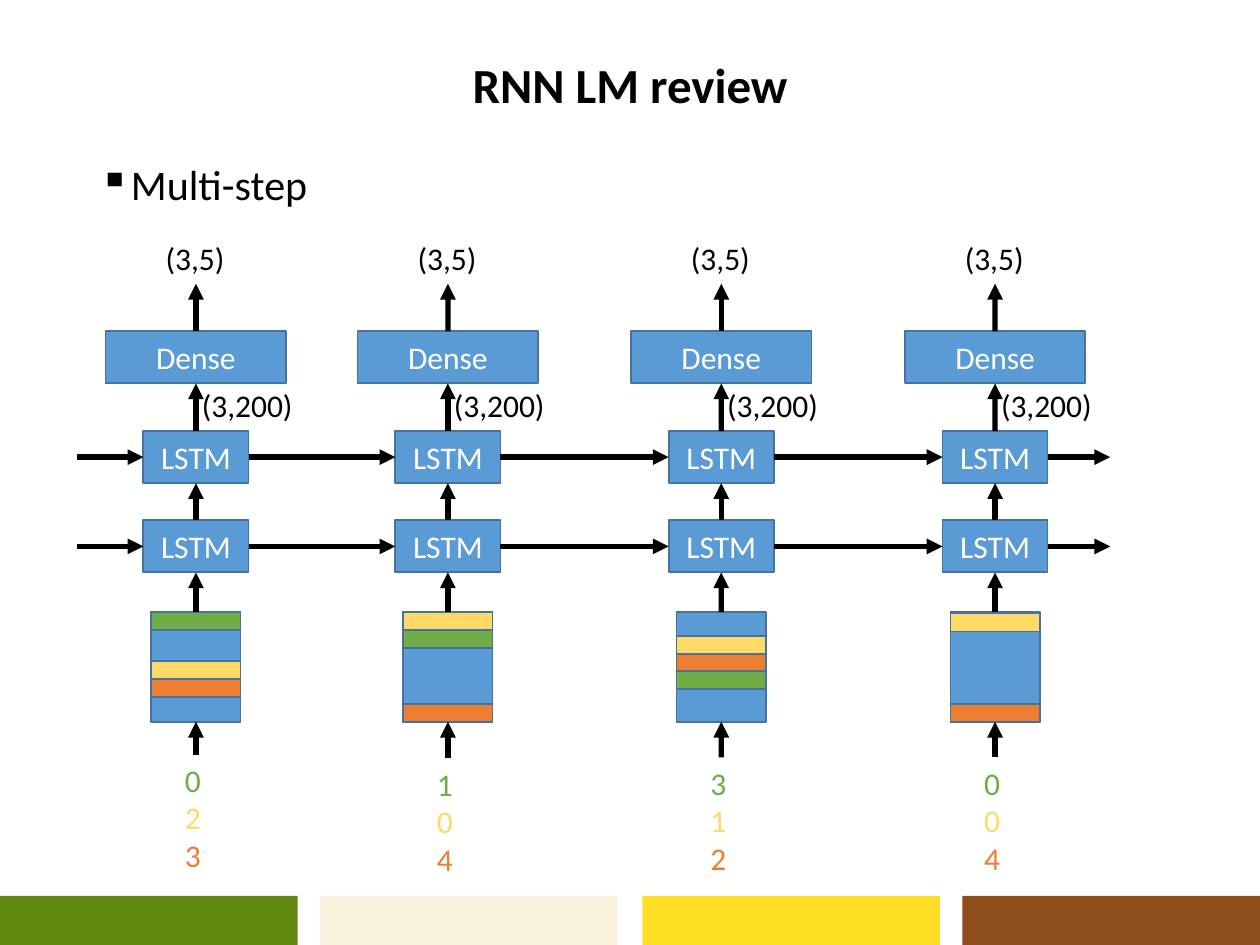
"""Build the RNN language model review slide with four unrolled LSTM steps."""
from dataclasses import dataclass

from lxml import etree
from pptx import Presentation
from pptx.dml.color import RGBColor
from pptx.enum.shapes import MSO_CONNECTOR, MSO_SHAPE
from pptx.enum.text import MSO_ANCHOR, PP_ALIGN
from pptx.oxml.ns import qn
from pptx.util import Cm, Pt

RECTANGLE = MSO_SHAPE.RECTANGLE
STRAIGHT = MSO_CONNECTOR.STRAIGHT
MIDDLE = MSO_ANCHOR.MIDDLE
CENTER = PP_ALIGN.CENTER
TOP, LEFT, BOTTOM, RIGHT = range(4)


@dataclass(frozen=True)
class Theme:
    font: str = "Calibri"
    title_size: Pt = Pt(28)
    body_size: Pt = Pt(24)
    label_size: Pt = Pt(18)
    black: RGBColor = RGBColor.from_string("000000")
    white: RGBColor = RGBColor.from_string("FFFFFF")
    blue: RGBColor = RGBColor.from_string("5B9BD5")
    outline: RGBColor = RGBColor.from_string("43739E")
    green: RGBColor = RGBColor.from_string("70AD47")
    yellow: RGBColor = RGBColor.from_string("FFD966")
    orange: RGBColor = RGBColor.from_string("ED7D31")
    footer: tuple = ("61890F", "FAF2DD", "FFDF24", "8E4F1C")


THEME = Theme()
TOKEN_COLORS = (THEME.green, THEME.yellow, THEME.orange)

presentation = Presentation()
presentation.slide_width = Cm(25.4)
presentation.slide_height = Cm(19.05)
slide = presentation.slides.add_slide(presentation.slide_layouts[6])


def add_box(shapes, left, top, width, height, fill, label=""):
    shape = shapes.add_shape(RECTANGLE, Cm(left), Cm(top), Cm(width), Cm(height))
    shape.shadow.inherit = False
    shape.fill.solid()
    shape.fill.fore_color.rgb = fill
    shape.line.color.rgb = THEME.outline
    shape.line.width = Pt(1)
    if label:
        shape.text_frame.text = label
        shape.text_frame.vertical_anchor = MIDDLE
        paragraph = shape.text_frame.paragraphs[0]
        paragraph.alignment = CENTER
        paragraph.font.name = THEME.font
        paragraph.font.size = THEME.label_size
        paragraph.font.color.rgb = THEME.white
    return shape


def add_text(left, top, width, height, text, size, colors=(THEME.black,), wrap=True):
    shape = slide.shapes.add_textbox(Cm(left), Cm(top), Cm(width), Cm(height))
    shape.text_frame.word_wrap = wrap
    shape.text_frame.text = text
    for paragraph, color in zip(shape.text_frame.paragraphs, colors):
        paragraph.font.name = THEME.font
        paragraph.font.size = size
        paragraph.font.color.rgb = color
    return shape


for left, color in zip((0, 6.45, 12.95, 19.4), THEME.footer):
    band = add_box(slide.shapes, left, 18.06, 6, 0.99, RGBColor.from_string(color))
    band.line.fill.background()

title = add_text(1.75, 1.02, 21.9, 1.5, "RNN LM review", THEME.title_size)
title.text_frame.vertical_anchor = MIDDLE
title_paragraph = title.text_frame.paragraphs[0]
title_paragraph.alignment = CENTER
title_paragraph.line_spacing = 0.9
title_paragraph.font.bold = True

body = add_text(1.75, 3.18, 21.9, 1.3, "Multi-step", THEME.body_size)
body_paragraph = body.text_frame.paragraphs[0]
body_paragraph.line_spacing = 0.9
body_paragraph.space_before = Pt(10)
properties = body_paragraph.font._element.getparent()
properties.set("marL", str(Cm(0.64)))
properties.set("indent", str(Cm(-0.64)))
bullet = etree.Element(qn("a:buChar"), char="▪")
body_paragraph.font._element.addprevious(bullet)

GREEN, YELLOW, ORANGE = TOKEN_COLORS
STEPS = (
    (3.95, 15.21, "0\n2\n3", ((GREEN, 0), (YELLOW, 0.99), (ORANGE, 1.35))),
    (9.03, 15.29, "1\n0\n4", ((GREEN, 0.37), (ORANGE, 1.85), (YELLOW, 0))),
    (14.54, 15.27, "3\n1\n2", ((YELLOW, 0.48), (ORANGE, 0.84), (GREEN, 1.19))),
    (20.06, 15.27, "0\n0\n4", ((YELLOW, 0.03), (ORANGE, 1.85))),
)
LAYER_TOPS = (8.69, 10.49)
EMBEDDING_TOP = 12.34

arrows = []
previous_layers = (None, None)
for center, tokens_top, token_text, stripes in STEPS:
    tokens = add_text(center - 0.47, tokens_top, 0.94, 2.57, token_text,
                      THEME.label_size, TOKEN_COLORS)
    group = slide.shapes.add_group_shape()
    embedding = add_box(group.shapes, center - 0.9, EMBEDDING_TOP, 1.8, 2.21, THEME.blue)
    for color, offset in stripes:
        add_box(group.shapes, center - 0.9, EMBEDDING_TOP + offset, 1.8, 0.36, color)

    layers = [add_box(slide.shapes, center - 1.06, top, 2.12, 1.05, THEME.blue, "LSTM")
              for top in LAYER_TOPS]
    upper, lower = layers
    dense = add_box(slide.shapes, center - 1.82, 6.68, 3.64, 1.05, THEME.blue, "Dense")
    add_text(center - 0.13, 7.65, 2.36, 1.02, "(3,200)", THEME.label_size, wrap=False)
    output = add_text(center - 0.86, 4.7, 1.72, 1.02, "(3,5)", THEME.label_size, wrap=False)

    chain = (tokens, embedding, lower, upper, dense, output)
    arrows += [(source, TOP, target, BOTTOM, 0, 0)
               for source, target in zip(chain, chain[1:])]
    arrows += [(source, RIGHT, target, LEFT, 1.55, top + 0.525)
               for source, target, top in zip(previous_layers, layers, LAYER_TOPS)]
    previous_layers = layers

arrows += [(source, RIGHT, None, LEFT, 22.38, top + 0.525)
           for source, top in zip(previous_layers, LAYER_TOPS)]

for source, source_side, target, target_side, free_x, free_y in arrows:
    connector = slide.shapes.add_connector(STRAIGHT, Cm(free_x), Cm(free_y),
                                           Cm(free_x), Cm(free_y))
    if source:
        connector.begin_connect(source, source_side)
    if target:
        connector.end_connect(target, target_side)
    connector.line.color.rgb = THEME.black
    connector.line.width = Pt(3)
    etree.SubElement(connector.line._get_or_add_ln(), qn("a:tailEnd"), type="triangle")
    etree.SubElement(connector._element.spPr, qn("a:effectLst"))

presentation.save("out.pptx")
